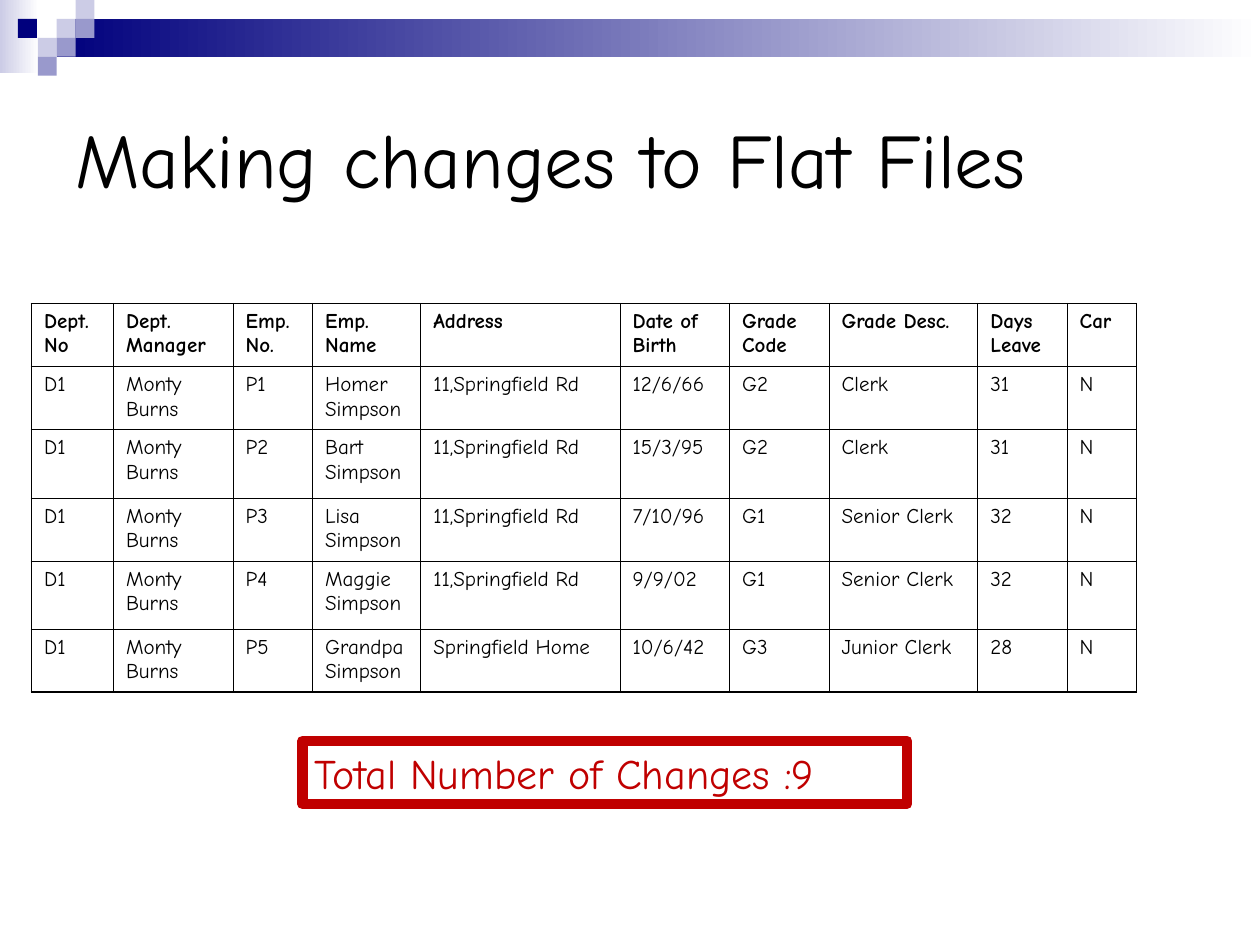
from lxml.etree import SubElement
from pptx import Presentation
from pptx.dml.color import RGBColor
from pptx.enum.shapes import MSO_SHAPE
from pptx.enum.text import MSO_ANCHOR, PP_ALIGN
from pptx.oxml.ns import qn
from pptx.util import Pt


def color(hex_value):
    return RGBColor.from_string(hex_value)


def write_text(text_frame, text, size, text_color="000000", bold=False):
    text_frame.word_wrap = True
    text_frame.text = text
    paragraph = text_frame.paragraphs[0]
    paragraph.alignment = PP_ALIGN.LEFT
    for run in paragraph.runs:
        font_format = {"name": "Comic Neue", "size": Pt(size), "bold": bold}
        for attribute, value in font_format.items():
            setattr(run.font, attribute, value)
        run.font.color.rgb = color(text_color)


presentation = Presentation()
presentation.slide_width, presentation.slide_height = Pt(720), Pt(540)
slide = presentation.slides.add_slide(presentation.slide_layouts[6])
shapes = slide.shapes

# Header decoration: two bands fading to white, then tiles on a square grid
TILE = 10.8
bands = [(0, 0, 22.3, 41.8, "CCCCE6"), (32.4, 10.8, 687.6, 21.6, "00007D")]
tiles = [
    (3, 1, "CCCCE6"), (4, 0, "CCCCE6"), (4, 1, "9999CC"), (2, 2, "CCCCE6"),
    (0.95, 1, "00007D"), (3, 2, "9999CC"), (2, 3, "9999CC"),
]
for left, top, width, height, start_color in bands:
    band = shapes.add_shape(MSO_SHAPE.RECTANGLE, Pt(left), Pt(top), Pt(width), Pt(height))
    band.shadow.inherit = False
    band.line.fill.background()
    band.fill.gradient()
    band.fill.gradient_angle = 0
    for stop, stop_color in zip(band.fill.gradient_stops, (start_color, "FFFFFF")):
        stop.color.rgb = color(stop_color)
for column, row, tile_color in tiles:
    tile = shapes.add_shape(
        MSO_SHAPE.RECTANGLE, Pt(column * TILE), Pt(row * TILE), Pt(TILE), Pt(TILE))
    tile.shadow.inherit = False
    tile.line.fill.background()
    tile.fill.solid()
    tile.fill.fore_color.rgb = color(tile_color)

# Title
title = shapes.add_textbox(Pt(36), Pt(36), Pt(648), Pt(108))
title.text_frame.vertical_anchor = MSO_ANCHOR.MIDDLE
write_text(title.text_frame, "Making changes to Flat Files", 44)

# Framed total
total = shapes.add_shape(MSO_SHAPE.RECTANGLE, Pt(172.8), Pt(423.4), Pt(345.6), Pt(36))
total.shadow.inherit = False
total.fill.background()
total.line.color.rgb = color("C00000")
total.line.width = Pt(6)
total.text_frame.vertical_anchor = MSO_ANCHOR.TOP
write_text(total.text_frame, "Total Number of Changes :9", 24, "C00000")

# Employee table
header = ["Dept.\vNo", "Dept. Manager", "Emp. No.", "Emp. Name", "Address",
          "Date of Birth", "Grade Code", "Grade Desc.", "Days Leave", "Car"]
employees = [
    ("P1", "Homer Simpson", "11,Springfield Rd", "12/6/66", "G2", "Clerk", "31"),
    ("P2", "Bart Simpson", "11,Springfield Rd", "15/3/95", "G2", "Clerk", "31"),
    ("P3", "Lisa Simpson", "11,Springfield Rd", "7/10/96", "G1", "Senior Clerk", "32"),
    ("P4", "Maggie Simpson", "11,Springfield Rd", "9/9/02", "G1", "Senior Clerk", "32"),
    ("P5", "Grandpa Simpson", "Springfield Home", "10/6/42", "G3", "Junior Clerk", "28"),
]
rows = [header] + [["D1", "Monty Burns", *employee, "N"] for employee in employees]
column_widths = [46.8, 68.4, 45.4, 61.9, 113.8, 62.6, 56.9, 85, 51.1, 39.6]
row_heights = [36, 36, 39, 36, 39, 36]
table = shapes.add_table(
    len(rows), len(header), Pt(18), Pt(173.5),
    Pt(sum(column_widths)), Pt(sum(row_heights))).table
table.first_row = table.horz_banding = False
for column, width in zip(table.columns, column_widths):
    column.width = Pt(width)
for row, height in zip(table.rows, row_heights):
    row.height = Pt(height)

for row_index, row_values in enumerate(rows):
    for column_index, value in enumerate(row_values):
        cell = table.cell(row_index, column_index)
        write_text(cell.text_frame, value, 12, bold=row_index == 0)
        # Borders are heavier on the outer edge, and come before the fill
        outer_edges = {
            "a:lnL": column_index == 0,
            "a:lnR": column_index == len(header) - 1,
            "a:lnT": row_index == 0,
            "a:lnB": row_index == len(rows) - 1,
        }
        properties = cell._tc.get_or_add_tcPr()
        for tag, is_outer in outer_edges.items():
            border = SubElement(properties, qn(tag), w=str(Pt(1.08 if is_outer else 0.45)))
            border_fill = SubElement(border, qn("a:solidFill"))
            SubElement(border_fill, qn("a:srgbClr"), val="000000")
        cell.fill.background()

presentation.save("out.pptx")
